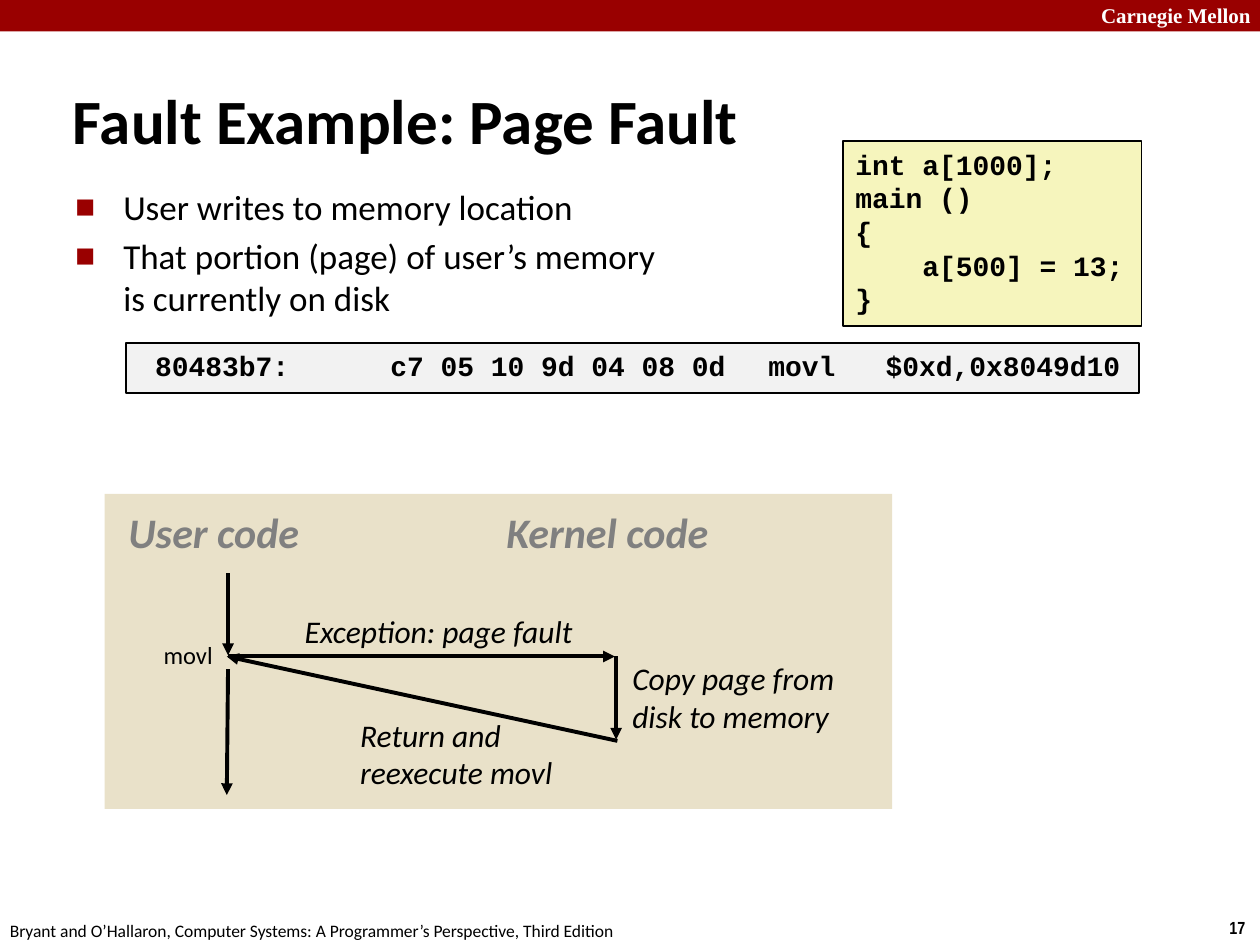
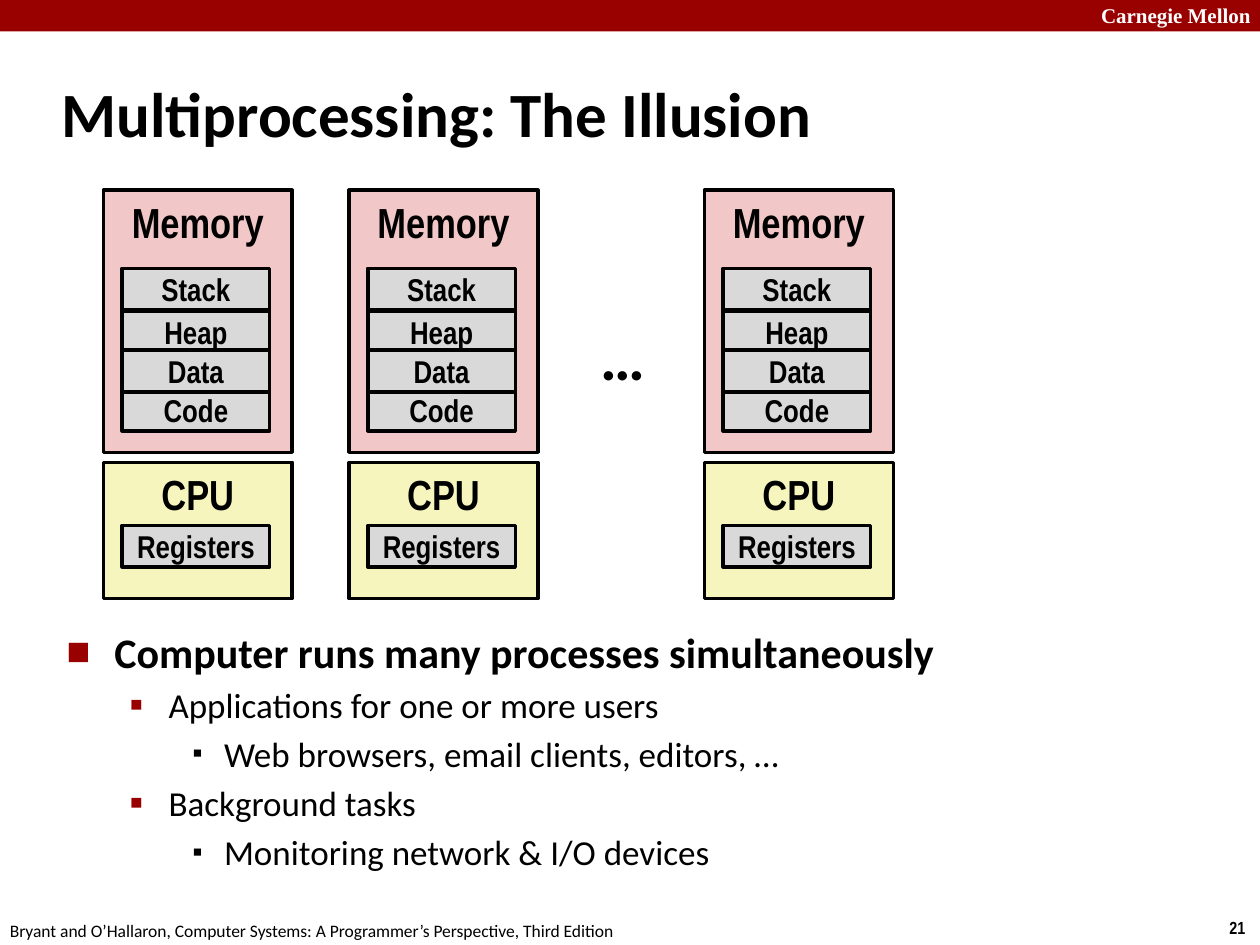
from lxml import etree
from pptx import Presentation
from pptx.dml.color import RGBColor
from pptx.enum.shapes import MSO_CONNECTOR, MSO_SHAPE
from pptx.enum.text import MSO_ANCHOR, MSO_AUTO_SIZE, PP_ALIGN
from pptx.oxml.ns import qn
from pptx.util import Inches, Pt

RECTANGLE = MSO_SHAPE.RECTANGLE
STRAIGHT = MSO_CONNECTOR.STRAIGHT
TOP, MIDDLE = MSO_ANCHOR.TOP, MSO_ANCHOR.MIDDLE
LEFT, CENTER = PP_ALIGN.LEFT, PP_ALIGN.CENTER
GROW, FIXED = MSO_AUTO_SIZE.SHAPE_TO_FIT_TEXT, MSO_AUTO_SIZE.NONE


class Theme:
    red, black, white, grey = "990000", "000000", "FFFFFF", "808080"
    yellow, pink, sand = "F6F5BD", "F1C7C7", "E9E1C9"
    light, block = "F2F2F2", "D9D9D9"
    body, narrow, code, serif = "Calibri", "Arial Narrow", "Courier New", "Times New Roman"
    title_size, head_size, text_size, label_size = 36, 24, 20, 18
    code_size, small_size, brand_size, footer_size = 16, 14, 12, 10
    # Per level: left margin, hanging indent, bullet, bullet colour, bullet percent
    levels = [(0.38, 0.38, "■", red, 60),
              (0.81, 0.31, "▪", red, 110),
              (1.25, 0.25, "▪", black, 80)]


def add_text(page, at, text, size=Theme.label_size, font=Theme.body, color=Theme.black,
             bold=False, italic=False, align=LEFT, anchor=TOP, wrap=True,
             fill=None, outline=None):
    """Add a text box, or a rectangle when a fill is given; each line is a paragraph."""
    place = [Inches(length) for length in at]
    if fill:
        box = page.shapes.add_shape(RECTANGLE, *place)
        box.shadow.inherit = False
        box.fill.solid()
        box.fill.fore_color.rgb = RGBColor.from_string(fill)
        if outline:
            box.line.color.rgb = RGBColor.from_string(Theme.black)
            box.line.width = Pt(outline)
        else:
            box.line.fill.background()
    else:
        box = page.shapes.add_textbox(*place)
    frame = box.text_frame
    frame.word_wrap = wrap
    frame.auto_size = FIXED if wrap else GROW
    frame.vertical_anchor = anchor
    for index, line in enumerate(text.split("\n")):
        para = frame.add_paragraph() if index else frame.paragraphs[0]
        para.alignment = align
        para.text = line
        for span in para.runs:
            span.font.name, span.font.size = font, Pt(size)
            span.font.bold, span.font.italic = bold, italic
            span.font.color.rgb = RGBColor.from_string(color)
    return box


def add_bullets(page, at, items):
    """Add a bulleted list of (level, size, bold, text) items."""
    box = add_text(page, at, "\n".join(item[3] for item in items))
    for index, (para, item) in enumerate(zip(box.text_frame.paragraphs, items)):
        level, size, bold, _ = item
        left, hang, bullet, color, percent = Theme.levels[level]
        props = para._p.get_or_add_pPr()
        props.set("marL", str(Inches(left)))
        props.set("indent", str(-Inches(hang)))
        tint = etree.SubElement(props, qn("a:buClr"))
        etree.SubElement(tint, qn("a:srgbClr"), val=color)
        etree.SubElement(props, qn("a:buSzPct"), val=str(percent * 1000))
        etree.SubElement(props, qn("a:buFont"), typeface=Theme.body)
        etree.SubElement(props, qn("a:buChar"), char=bullet)
        para.level = level
        para.space_before = Pt(0.2 * size if index else 0)
        for span in para.runs:
            span.font.size, span.font.bold = Pt(size), bold


deck = Presentation()
deck.slide_width, deck.slide_height = Inches(10), Inches(7.5)

# Shared band, footer and title
pages = []
for number, title, title_at in [
    (17, "Fault Example: Page Fault", (0.48, 0.64, 8.63, 0.61)),
    (21, "Multiprocessing: The Illusion", (0.39, 0.48, 8.3, 0.83)),
]:
    page = deck.slides.add_slide(deck.slide_layouts[6])
    add_text(page, (0, 0, 10, 0.25), "", fill=Theme.red)
    add_text(page, (8.64, -0.03, 1.43, 0.3), "Carnegie Mellon", size=Theme.brand_size,
             font=Theme.serif, color=Theme.white, bold=True)
    add_text(page, (9.66, 7.23, 0.34, 0.27), str(number), size=Theme.footer_size,
             font=Theme.narrow, bold=True, wrap=False)
    add_text(page, (-0.02, 7.25, 5.08, 0.27),
             "Bryant and O’Hallaron, Computer Systems: A Programmer’s Perspective, Third Edition",
             size=Theme.footer_size, wrap=False)
    add_text(page, title_at, title, size=Theme.title_size, bold=True, anchor=MIDDLE)
    pages.append(page)
fault_page, illusion_page = pages

# Page fault: bullets and code
add_text(fault_page, (0.83, 3.92, 6.25, 2.5), "", fill=Theme.sand)
add_bullets(fault_page, (0.5, 1.42, 8.92, 1.17), [
    (0, Theme.text_size, False, "User writes to memory location"),
    (0, Theme.text_size, False, "That portion (page) of user’s memory \vis currently on disk"),
])
code_format = dict(size=Theme.code_size, font=Theme.code, bold=True, wrap=False, outline=1)
add_text(fault_page, (6.69, 1.12, 2.37, 1.47),
         "int a[1000];\nmain ()\n{\n    a[500] = 13;\n}", fill=Theme.yellow, **code_format)
assembly = add_text(fault_page, (1, 2.72, 8.04, 0.4),
                    " 80483b7:\tc7 05 10 9d 04 08 0d \tmovl   $0xd,0x8049d10",
                    fill=Theme.light, **code_format)
tabs = etree.SubElement(assembly.text_frame.paragraphs[0]._p.get_or_add_pPr(), qn("a:tabLst"))
for stop in (2, 5):
    etree.SubElement(tabs, qn("a:tab"), pos=str(Inches(stop)), algn="l")

# Page fault: control flow
for at, heading in [((0.92, 3.97, 1.65, 0.5), "User code"),
                    ((3.92, 3.97, 1.91, 0.5), "Kernel code")]:
    add_text(fault_page, at, heading, size=Theme.head_size, color=Theme.grey,
             bold=True, italic=True, wrap=False)

for start_x, start_y, end_x, end_y in [
    (1.81, 4.55, 1.81, 5.2),
    (1.81, 5.21, 4.88, 5.21),
    (4.89, 5.21, 4.89, 5.87),
    (4.9, 5.88, 1.8, 5.21),
    (1.81, 5.31, 1.8, 6.31),
]:
    arrow = fault_page.shapes.add_connector(
        STRAIGHT, Inches(start_x), Inches(start_y), Inches(end_x), Inches(end_y))
    arrow.line.color.rgb = RGBColor.from_string(Theme.black)
    arrow.line.width = Pt(2.25)
    etree.SubElement(arrow.line._get_or_add_ln(), qn("a:tailEnd"), type="triangle")
    etree.SubElement(arrow._element.spPr, qn("a:effectLst"))

for at, label, wrap in [
    ((2.32, 4.81, 2.42, 0.4), "Exception: page fault", False),
    ((4.92, 5.18, 2.16, 0.7), "Copy page from disk to memory", True),
    ((2.76, 5.63, 1.99, 0.7), "Return and reexecute movl", True),
]:
    add_text(fault_page, at, label, italic=True, wrap=wrap)
add_text(fault_page, (1.2, 5.03, 0.6, 0.34), "movl", size=Theme.small_size, wrap=False)

# Multiprocessing: one memory and CPU per process
block_format = dict(font=Theme.narrow, bold=True, align=CENTER, outline=2)
for left in (0.82, 2.77, 5.59):
    for top, height, name, fill in [(3.67, 1.08, "CPU", Theme.yellow),
                                    (1.51, 2.08, "Memory", Theme.pink)]:
        add_text(illusion_page, (left, top, 1.5, height), name, size=Theme.head_size,
                 fill=fill, **block_format)
    for top, name in [(4.17, "Registers"), (2.13, "Stack"), (2.47, "Heap"),
                      (3.09, "Code"), (2.78, "Data")]:
        add_text(illusion_page, (left + 0.15, top, 1.17, 0.33), name, anchor=MIDDLE,
                 fill=Theme.block, **block_format)
add_text(illusion_page, (4.67, 2.47, 0.56, 0.71), "…", size=Theme.title_size,
         bold=True, wrap=False)

# Multiprocessing: bullets
add_bullets(illusion_page, (0.43, 4.92, 8.64, 2.16), [
    (0, Theme.head_size, True, "Computer runs many processes simultaneously"),
    (1, Theme.text_size, False, "Applications for one or more users"),
    (2, Theme.text_size, False, "Web browsers, email clients, editors, …"),
    (1, Theme.text_size, False, "Background tasks"),
    (2, Theme.text_size, False, "Monitoring network & I/O devices"),
])

deck.save("out.pptx")
